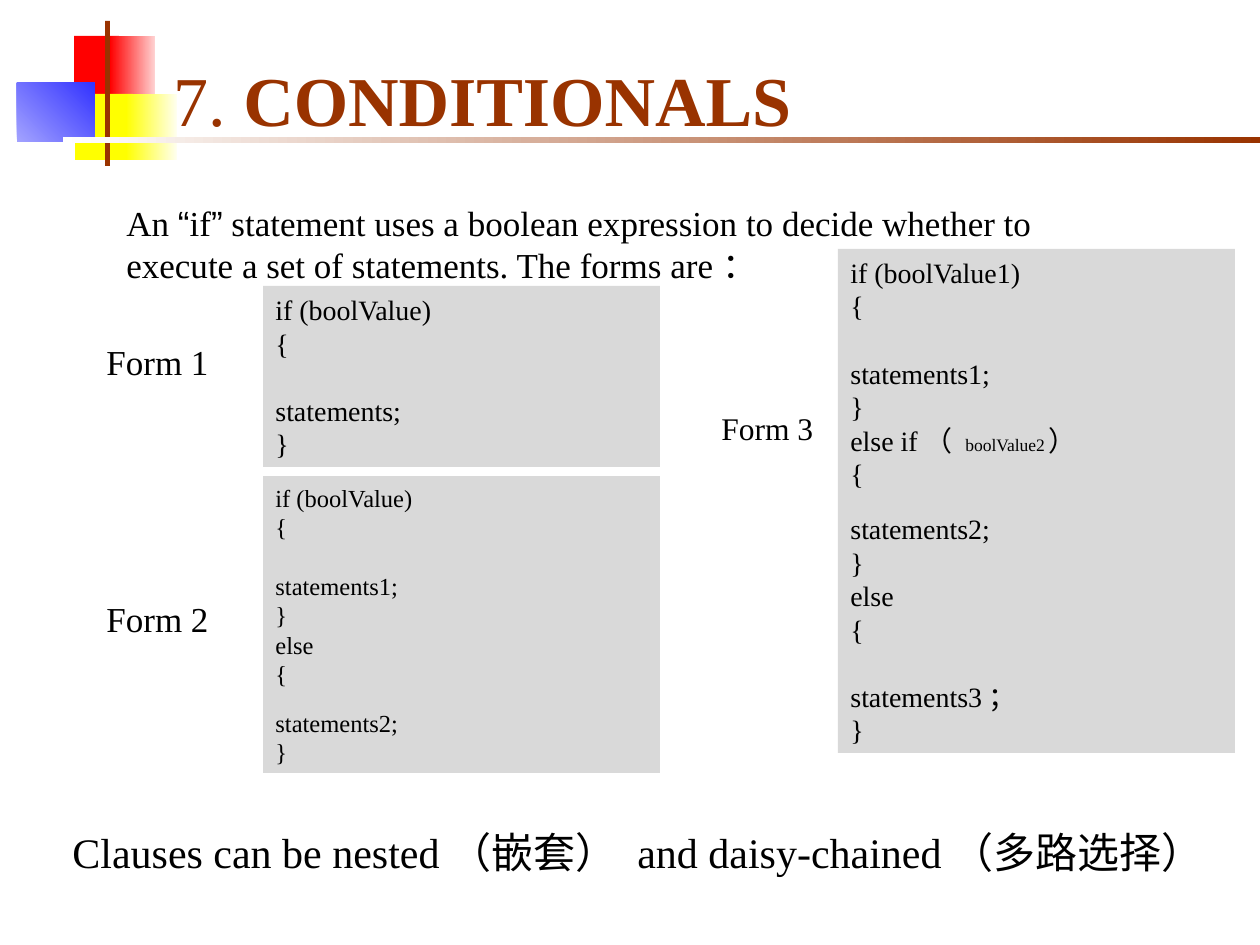
from dataclasses import dataclass

from pptx import Presentation
from pptx.dml.color import RGBColor
from pptx.enum.shapes import MSO_SHAPE
from pptx.enum.text import MSO_ANCHOR
from pptx.util import Emu, Pt

PX = 914400 / 126
LINE_FACTOR = 1.2
SERIF = "Times New Roman"
BLACK = "000000"
BROWN = "993300"
CODE_GREY = "D9D9D9"


@dataclass(frozen=True)
class Box:
    left: int
    top: int
    width: int
    height: int


@dataclass(frozen=True)
class Block:
    box: Box
    start: str
    end: str = ""
    angle: int = 0


@dataclass(frozen=True)
class Run:
    text: str
    size: int
    font: str = SERIF
    color: str = BLACK
    bold: bool = False


@dataclass(frozen=True)
class Line:
    runs: tuple[Run, ...]
    gap: int = 0


@dataclass(frozen=True)
class Form:
    label: Run
    label_box: Box
    code_box: Box
    code: tuple[Line, ...]


def px(value: int) -> Emu:
    return Emu(round(value * PX))


def rgb(color: str) -> RGBColor:
    return RGBColor.from_string(color)


def place(box: Box) -> tuple[Emu, Emu, Emu, Emu]:
    return px(box.left), px(box.top), px(box.width), px(box.height)


def code_line(text: str, size: int, gap: int = 0) -> Line:
    return Line((Run(text, size),), gap)


def braces(statement: str, size: int, gap: int) -> tuple[Line, ...]:
    return (code_line("{", size), code_line(statement, size, gap), code_line("}", size))


def draw_block(slide, block: Block):
    shape = slide.shapes.add_shape(MSO_SHAPE.RECTANGLE, *place(block.box))
    shape.shadow.inherit = False
    shape.line.fill.background()
    if block.end:
        shape.fill.gradient()
        shape.fill.gradient_angle = block.angle
        for stop, color in zip(shape.fill.gradient_stops, (block.start, block.end)):
            stop.color.rgb = rgb(color)
    else:
        shape.fill.solid()
        shape.fill.fore_color.rgb = rgb(block.start)
    return shape


def write_lines(shape, lines: tuple[Line, ...], anchor: MSO_ANCHOR) -> None:
    frame = shape.text_frame
    frame.word_wrap = True
    frame.vertical_anchor = anchor
    for index, line in enumerate(lines):
        paragraph = frame.add_paragraph() if index else frame.paragraphs[0]
        paragraph.alignment = 1
        paragraph.line_spacing = Pt(LINE_FACTOR * max(run.size for run in line.runs))
        paragraph.space_before = Pt(LINE_FACTOR * line.gap)
        for item in line.runs:
            run = paragraph.add_run()
            run.text = item.text
            run.font.size = Pt(item.size)
            run.font.name = item.font
            run.font.bold = item.bold
            run.font.color.rgb = rgb(item.color)


def draw_text(slide, box: Box, runs: tuple[Run, ...], anchor: MSO_ANCHOR = MSO_ANCHOR.TOP) -> None:
    write_lines(slide.shapes.add_textbox(*place(box)), (Line(runs),), anchor)


def draw_form(slide, form: Form) -> None:
    code_block = draw_block(slide, Block(form.code_box, CODE_GREY))
    write_lines(code_block, form.code, MSO_ANCHOR.MIDDLE)
    draw_text(slide, form.label_box, (form.label,))


DECORATION = (
    Block(Box(74, 36, 45, 65), "FF0000"),
    Block(Box(110, 36, 45, 65), "FFD1D1", "FF0000", 180),
    Block(Box(75, 94, 58, 66), "FFFF00"),
    Block(Box(126, 94, 51, 66), "FFFFEF", "FFFF00", 180),
    Block(Box(17, 83, 78, 59), "A3A3FF", "3333FF", 45),
    Block(Box(105, 21, 5, 145), BROWN),
    Block(Box(63, 137, 1197, 6), "FFFFFF", BROWN),
)

FORMS = (
    Form(
        Run("Form 1", 20),
        Box(94, 334, 188, 55),
        Box(263, 286, 397, 181),
        (code_line("if (boolValue)", 16), *braces("statements;", 16, 16)),
    ),
    Form(
        Run("Form 2", 20),
        Box(94, 591, 188, 55),
        Box(263, 476, 397, 297),
        (
            code_line("if (boolValue)", 14),
            *braces("statements1;", 14, 14),
            code_line("else", 14),
            *braces("statements2;", 14, 9),
        ),
    ),
    Form(
        Run("Form 3", 18),
        Box(709, 403, 188, 50),
        Box(838, 249, 397, 504),
        (
            code_line("if (boolValue1)", 16),
            *braces("statements1;", 16, 16),
            Line((Run("else if（ ", 16), Run("boolValue2", 10), Run("）", 16))),
            *braces("statements2;", 16, 10),
            code_line("else", 16),
            *braces("statements3；", 16, 16),
        ),
    ),
)


def main() -> None:
    presentation = Presentation()
    presentation.slide_width = px(1260)
    presentation.slide_height = px(945)
    slide = presentation.slides.add_slide(presentation.slide_layouts[6])

    for block in DECORATION:
        draw_block(slide, block)

    title = (Run("7. ", 40, color=BROWN), Run("CONDITIONALS", 40, color=BROWN, bold=True))
    draw_text(slide, Box(161, 32, 1080, 115), title, MSO_ANCHOR.BOTTOM)

    introduction = (
        Run("An ", 20),
        Run("“", 20, "Arial"),
        Run("if", 20),
        Run("”", 20, "Arial"),
        Run(
            " statement uses a boolean expression to decide whether to "
            "execute a set of statements. The forms are：",
            20,
        ),
    )
    draw_text(slide, Box(114, 195, 1022, 97), introduction)

    for form in FORMS:
        draw_form(slide, form)

    closing = (Run("Clauses can be nested（嵌套） and daisy-chained（多路选择）", 24),)
    draw_text(slide, Box(60, 820, 1190, 63), closing, MSO_ANCHOR.MIDDLE)

    presentation.save("out.pptx")


if __name__ == "__main__":
    main()
